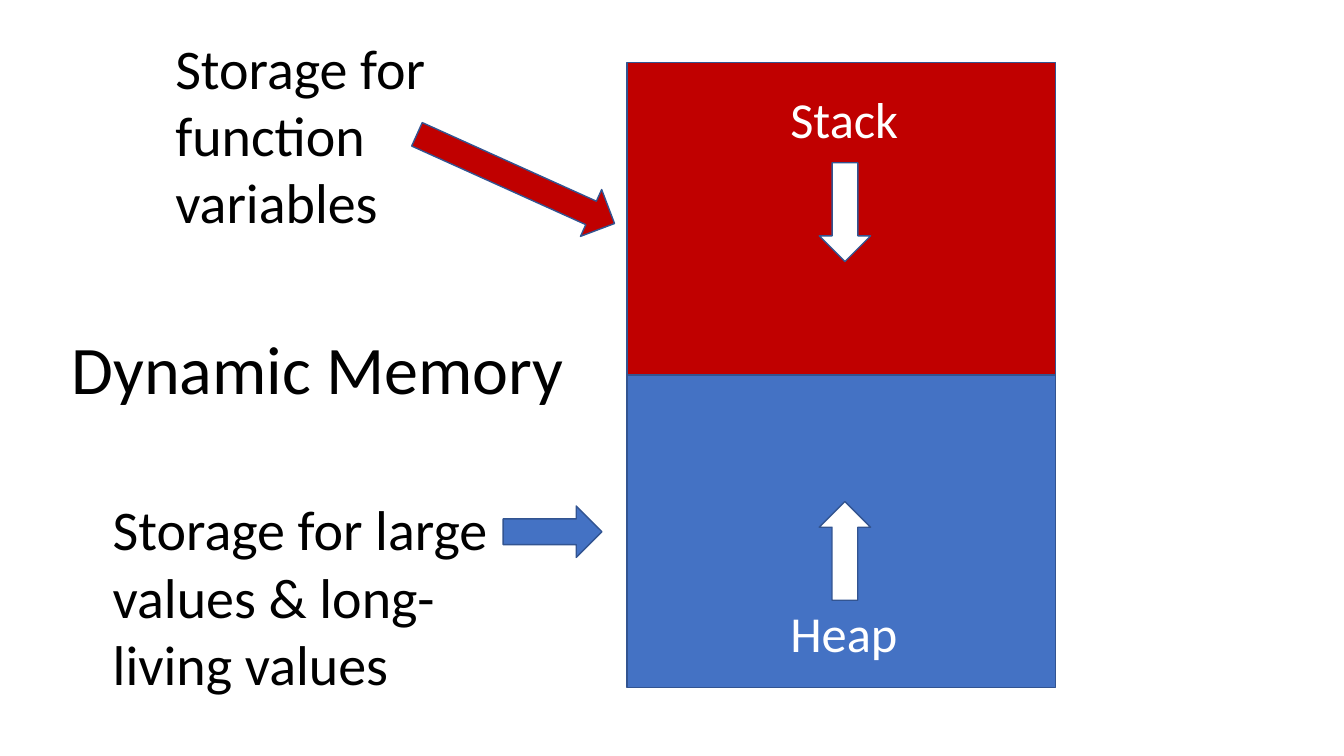
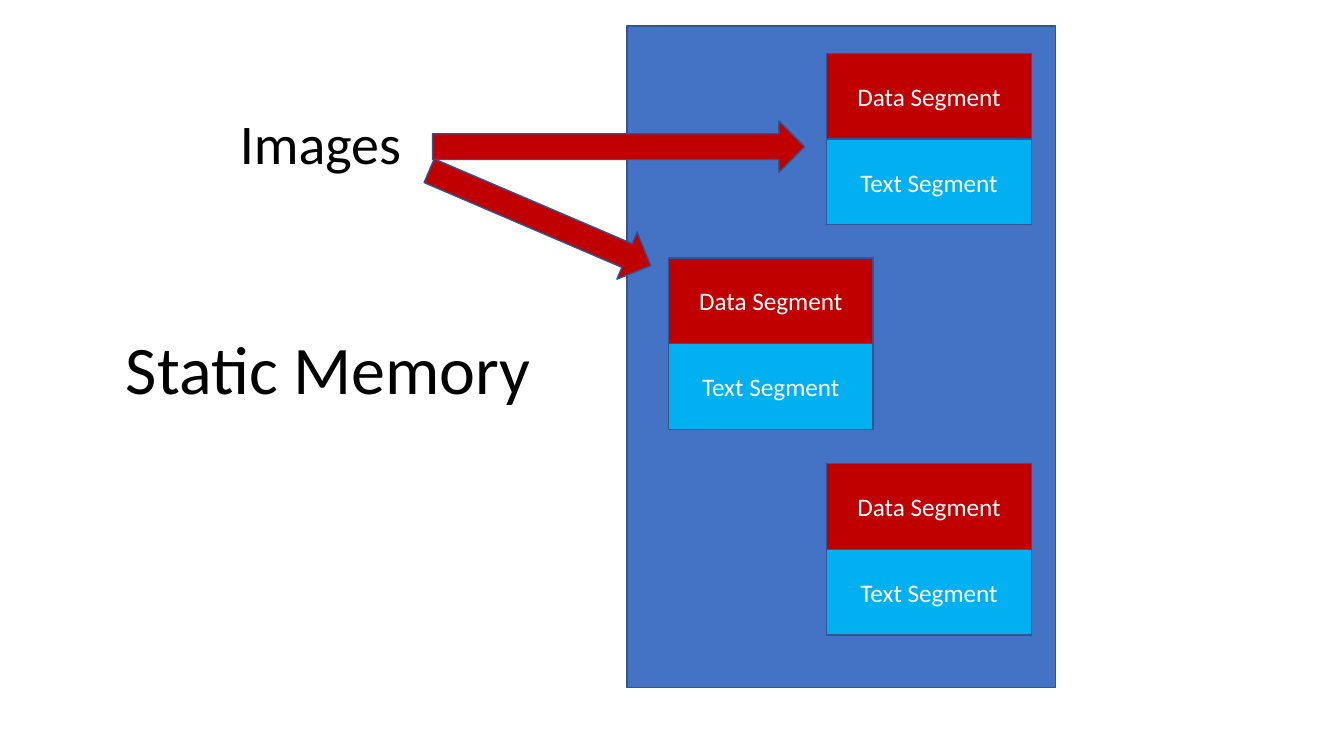
from dataclasses import dataclass

from pptx import Presentation
from pptx.dml.color import RGBColor
from pptx.enum.shapes import MSO_SHAPE
from pptx.enum.text import MSO_ANCHOR, PP_ALIGN
from pptx.shapes.autoshape import Shape
from pptx.slide import Slide
from pptx.text.text import TextFrame
from pptx.util import Inches, Pt

RECTANGLE = MSO_SHAPE.RECTANGLE
RIGHT_ARROW = MSO_SHAPE.RIGHT_ARROW
MIDDLE = MSO_ANCHOR.MIDDLE
CENTER = PP_ALIGN.CENTER
LEFT = PP_ALIGN.LEFT

FONT = "Calibri"
COLORS = {
    "black": "000000",
    "white": "FFFFFF",
    "red": "C00000",
    "blue": "4472C4",
    "sky": "00B0F0",
    "outline": "325491",
}

TITLE_SIZE, NOTE_SIZE, REGION_SIZE, SEGMENT_SIZE = 48.6, 40, 36, 18
MEMORY_LEFT, MEMORY_WIDTH, MEMORY_BOTTOM = 6.22, 4.25, 6.82
REGION_HEIGHT = 3.1
SEGMENT_WIDTH, SEGMENT_HEIGHT = 2.03, 0.85
ARROW_HEIGHT = 0.51


@dataclass(frozen=True)
class Box:
    left: float
    top: float
    width: float
    height: float


@dataclass(frozen=True)
class Label:
    text: str
    box: Box
    size: float = NOTE_SIZE
    color: str = "black"
    wrap: bool = True


@dataclass(frozen=True)
class Arrow:
    left: float
    top: float
    length: float
    color: str
    rotation: float = 0


@dataclass(frozen=True)
class ProgramImage:
    left: float
    top: float


SEGMENTS = [("Data Segment", "red"), ("Text Segment", "sky")]

DYNAMIC_LABELS = [
    Label("Storage for large values & long-living values", Box(1.02, 4.86, 3.97, 2.12)),
    Label("Storage for function variables", Box(1.64, 0.28, 3.27, 2.12)),
    Label("Stack", Box(7.74, 0.82, 1.28, 0.71), REGION_SIZE, "white", False),
    Label("Heap", Box(7.74, 5.92, 1.27, 0.71), REGION_SIZE, "white", False),
]
DYNAMIC_ARROWS = [
    Arrow(4.04, 1.52, 2.15, "red", 24.3),
    Arrow(4.99, 5.02, 0.98, "blue"),
    Arrow(7.89, 1.85, 0.98, "white", 90),
    Arrow(7.89, 5.21, 0.98, "white", 270),
]

PROGRAM_IMAGES = [
    ProgramImage(6.63, 2.56),
    ProgramImage(8.2, 4.6),
    ProgramImage(8.2, 0.53),
]
IMAGES_LABEL = Label("Images", Box(2.28, 1.03, 1.82, 0.77), wrap=False)
STATIC_ARROWS = [
    Arrow(4.16, 1.91, 2.39, "red", 23.2),
    Arrow(4.29, 1.2, 3.69, "red"),
]


def rgb(name: str) -> RGBColor:
    return RGBColor.from_string(COLORS[name])


def lengths(box: Box) -> tuple[Inches, Inches, Inches, Inches]:
    return Inches(box.left), Inches(box.top), Inches(box.width), Inches(box.height)


def write_text(frame: TextFrame, text: str, size: float, color: str, alignment: PP_ALIGN) -> None:
    paragraph = frame.paragraphs[0]
    paragraph.text = text
    paragraph.alignment = alignment
    paragraph.font.name = FONT
    paragraph.font.size = Pt(size)
    paragraph.font.color.rgb = rgb(color)


def add_label(slide: Slide, label: Label, alignment: PP_ALIGN = LEFT) -> TextFrame:
    frame = slide.shapes.add_textbox(*lengths(label.box)).text_frame
    frame.word_wrap = label.wrap
    write_text(frame, label.text, label.size, label.color, alignment)
    return frame


def add_title(slide: Slide, text: str, left: float, width: float) -> None:
    label = Label(text, Box(left, 2.97, width, 1.45), TITLE_SIZE)
    frame = add_label(slide, label, CENTER)
    frame.vertical_anchor = MIDDLE
    frame.paragraphs[0].line_spacing = 0.9


def add_filled_shape(shapes, kind: MSO_SHAPE, box: Box, color: str) -> Shape:
    """Add an outlined shape to a slide's or a group's shapes."""
    shape = shapes.add_shape(kind, *lengths(box))
    shape.shadow.inherit = False
    shape.fill.solid()
    shape.fill.fore_color.rgb = rgb(color)
    shape.line.color.rgb = rgb("outline")
    shape.line.width = Pt(1)
    return shape


def add_memory_block(slide: Slide, top: float, height: float, color: str) -> None:
    box = Box(MEMORY_LEFT, top, MEMORY_WIDTH, height)
    add_filled_shape(slide.shapes, RECTANGLE, box, color)


def add_arrow(slide: Slide, arrow: Arrow) -> None:
    box = Box(arrow.left, arrow.top, arrow.length, ARROW_HEIGHT)
    shape = add_filled_shape(slide.shapes, RIGHT_ARROW, box, arrow.color)
    shape.rotation = arrow.rotation


def add_program_image(slide: Slide, image: ProgramImage) -> None:
    """Group a data segment with the text segment below it."""
    group = slide.shapes.add_group_shape()
    for row, (text, color) in enumerate(SEGMENTS):
        top = image.top + row * SEGMENT_HEIGHT
        box = Box(image.left, top, SEGMENT_WIDTH, SEGMENT_HEIGHT)
        segment = add_filled_shape(group.shapes, RECTANGLE, box, color)
        segment.text_frame.vertical_anchor = MIDDLE
        write_text(segment.text_frame, text, SEGMENT_SIZE, "white", CENTER)


def build_dynamic_memory(slide: Slide) -> None:
    add_title(slide, "Dynamic Memory", 0.54, 5.22)
    heap_top = MEMORY_BOTTOM - REGION_HEIGHT
    add_memory_block(slide, heap_top - REGION_HEIGHT, REGION_HEIGHT, "red")
    add_memory_block(slide, heap_top, REGION_HEIGHT, "blue")
    for label in DYNAMIC_LABELS:
        add_label(slide, label)
    for arrow in DYNAMIC_ARROWS:
        add_arrow(slide, arrow)


def build_static_memory(slide: Slide) -> None:
    add_title(slide, "Static Memory", 1.15, 4.21)
    memory_top = 0.26
    add_memory_block(slide, memory_top, MEMORY_BOTTOM - memory_top, "blue")
    for image in PROGRAM_IMAGES:
        add_program_image(slide, image)
    add_label(slide, IMAGES_LABEL)
    for arrow in STATIC_ARROWS:
        add_arrow(slide, arrow)


def main() -> None:
    presentation = Presentation()
    presentation.slide_width = Inches(13.33)
    presentation.slide_height = Inches(7.5)
    blank_layout = presentation.slide_layouts[6]
    for build in (build_dynamic_memory, build_static_memory):
        build(presentation.slides.add_slide(blank_layout))
    presentation.save("out.pptx")


if __name__ == "__main__":
    main()
